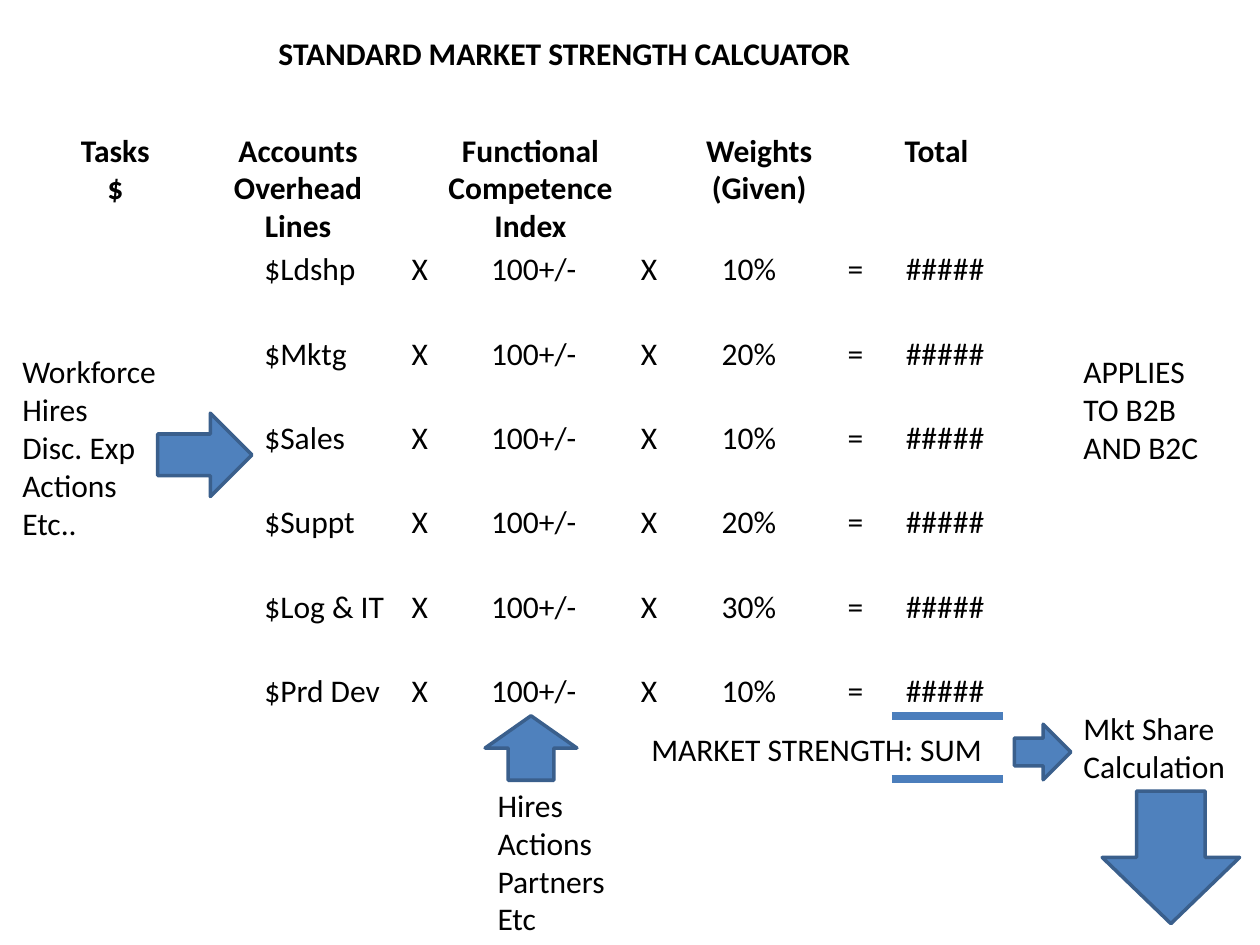
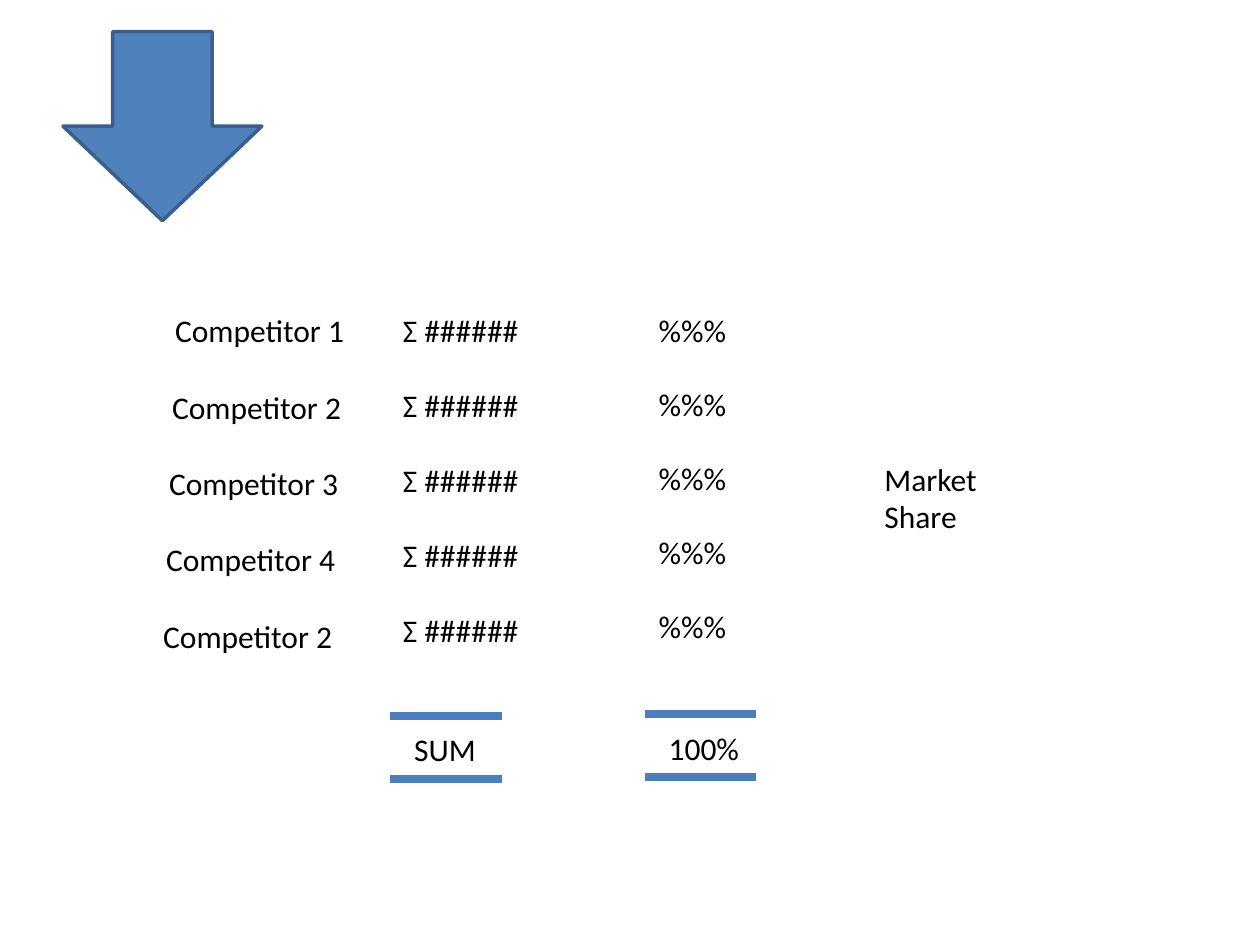
"""Build two slides on market strength and market share."""
from dataclasses import dataclass

from pptx import Presentation
from pptx.dml.color import RGBColor
from pptx.enum.shapes import MSO_CONNECTOR, MSO_SHAPE
from pptx.enum.text import MSO_ANCHOR, MSO_AUTO_SIZE, PP_ALIGN
from pptx.oxml.xmlchemy import OxmlElement
from pptx.util import Cm, Pt

LEFT, CENTER = PP_ALIGN.LEFT, PP_ALIGN.CENTER
TOP = MSO_ANCHOR.TOP
GROW = MSO_AUTO_SIZE.SHAPE_TO_FIT_TEXT
STRAIGHT = MSO_CONNECTOR.STRAIGHT
RIGHT_ARROW = MSO_SHAPE.RIGHT_ARROW
UP_ARROW = MSO_SHAPE.UP_ARROW
DOWN_ARROW = MSO_SHAPE.DOWN_ARROW
TITLE_ONLY, BLANK = 5, 6


@dataclass(frozen=True)
class Theme:
    font: str = "Calibri"
    size: Pt = Pt(18)
    ink: RGBColor = RGBColor(0, 0, 0)
    fill: RGBColor = RGBColor(0x4F, 0x81, 0xBD)
    edge: RGBColor = RGBColor(0x3A, 0x5F, 0x8C)
    rule: RGBColor = RGBColor(0x4B, 0x7E, 0xBC)
    edge_width: Pt = Pt(2)
    rule_width: Pt = Pt(4.5)
    first_line: float = 1.02
    next_line: float = 0.77


class Deck:
    def __init__(self, theme):
        self.theme = theme
        self.deck = Presentation()
        self.deck.slide_width, self.deck.slide_height = Cm(25.4), Cm(19.05)
        self.slide = None

    def add_slide(self, layout):
        self.slide = self.deck.slides.add_slide(self.deck.slide_layouts[layout])

    def style(self, shape, text, bold, align, wrap):
        frame = shape.text_frame
        frame.text = text
        frame.word_wrap = wrap
        frame.auto_size = GROW
        frame.vertical_anchor = TOP
        for para in frame.paragraphs:
            para.alignment = align
            for run in para.runs:
                font = run.font
                font.name, font.size, font.bold = self.theme.font, self.theme.size, bold
                font.color.rgb = self.theme.ink

    def title(self, text, left, top, width):
        shape = self.slide.shapes.title
        shape.left, shape.top = Cm(left), Cm(top)
        shape.width, shape.height = Cm(width), Cm(self.theme.first_line)
        self.style(shape, text, True, LEFT, False)

    def text(self, text, left, top, width, bold=False, align=LEFT, wrap=False):
        extra = text.count("\n") + text.count("\v")
        height = self.theme.first_line + self.theme.next_line * extra
        box = self.slide.shapes.add_textbox(Cm(left), Cm(top), Cm(width), Cm(height))
        self.style(box, text, bold, align, wrap)
        return box

    def row(self, cells, left, top, width, stops):
        box = self.text("\t".join(cells), left, top, width, wrap=True)
        tabs = OxmlElement("a:tabLst")
        for stop in stops:
            tab = OxmlElement("a:tab")
            tab.set("pos", str(Cm(stop)))
            tab.set("algn", "l")
            tabs.append(tab)
        box.text_frame.paragraphs[0]._p.get_or_add_pPr().append(tabs)

    def stack(self, texts, left, top, width, step, shift=0):
        for i, text in enumerate(texts):
            self.text(text, left + shift * i, top + step * i, width)

    def arrow(self, kind, left, top, width, height):
        shape = self.slide.shapes.add_shape(kind, Cm(left), Cm(top), Cm(width), Cm(height))
        shape.shadow.inherit = False
        shape.fill.solid()
        shape.fill.fore_color.rgb = self.theme.fill
        shape.line.color.rgb = self.theme.edge
        shape.line.width = self.theme.edge_width

    def rules(self, left, top, width=2.24, gap=1.27):
        for y in (top, top + gap):
            line = self.slide.shapes.add_connector(
                STRAIGHT, Cm(left), Cm(y), Cm(left + width), Cm(y))
            line.line.color.rgb = self.theme.rule
            line.line.width = self.theme.rule_width
            line._element.spPr.append(OxmlElement("a:effectLst"))

    def strength(self):
        self.add_slide(TITLE_ONLY)
        self.title("STANDARD MARKET STRENGTH CALCUATOR", 5.36, 0.56, 12.14)
        heads = (
            ("Tasks\n$", 1.37, 1.91),
            ("Accounts\vOverhead\nLines", 4.45, 3.12),
            ("Functional\vCompetence\vIndex", 8.69, 4.01),
            ("Weights\n(Given)", 13.97, 2.67),
            ("Total", 17.98, 1.8),
        )
        for text, left, width in heads:
            self.text(text, left, 2.51, width, bold=True, align=CENTER)

        lines = (("$Ldshp", "10%"), ("$Mktg", "20%"), ("$Sales", "10%"),
                 ("$Suppt", "20%"), ("$Log & IT", "30%"), ("$Prd Dev", "10%"))
        stops = (2.97, 4.57, 7.59, 9.22, 11.76, 12.93)
        for i, (name, weight) in enumerate(lines):
            cells = (name, "X", "100+/-", "X", weight, "=", "#####")
            self.row(cells, 5.08, 4.9 + 1.7 * i, 15.24, stops)

        self.text("Workforce\nHires\nDisc. Exp\nActions\nEtc..", 0.2, 6.98, 3.23)
        self.text("Hires\nActions\nPartners\nEtc", 9.78, 15.72, 2.69)
        self.arrow(RIGHT_ARROW, 3.18, 8.33, 1.9, 1.68)
        self.arrow(UP_ARROW, 9.78, 14.43, 1.85, 1.3)
        self.text("MARKET STRENGTH: SUM", 12.88, 14.6, 7.24)
        self.rules(17.98, 14.43)
        self.text("Mkt Share\nCalculation", 21.59, 14.17, 3.4)
        self.arrow(RIGHT_ARROW, 20.45, 14.6, 1.14, 1.12)
        self.arrow(DOWN_ARROW, 22.22, 15.95, 2.77, 2.67)
        note = self.text("APPLIES TO B2B AND B2C", 21.59, 6.98, 3.18, wrap=True)
        note.height = Cm(2.56)

    def share(self):
        self.add_slide(BLANK)
        self.arrow(DOWN_ARROW, 1.27, 0.64, 4.01, 3.81)
        names = [f"Competitor {n}" for n in (1, 2, 3, 4, 2)]
        self.stack(names, 3.28, 6.15, 3.96, 1.54, shift=-0.06)
        self.stack(["Σ ######"] * len(names), 7.87, 6.15, 2.87, 1.51)
        self.stack(["%%%"] * len(names), 13.03, 6.15, 1.88, 1.49)
        self.text("SUM", 8.1, 14.6, 1.75)
        self.rules(7.87, 14.43)
        self.text("100%", 13.23, 14.58, 1.96)
        self.rules(13, 14.4)
        self.text("Market\nShare", 17.58, 9.14, 2.39)


show = Deck(Theme())
show.strength()
show.share()
show.deck.save("out.pptx")
